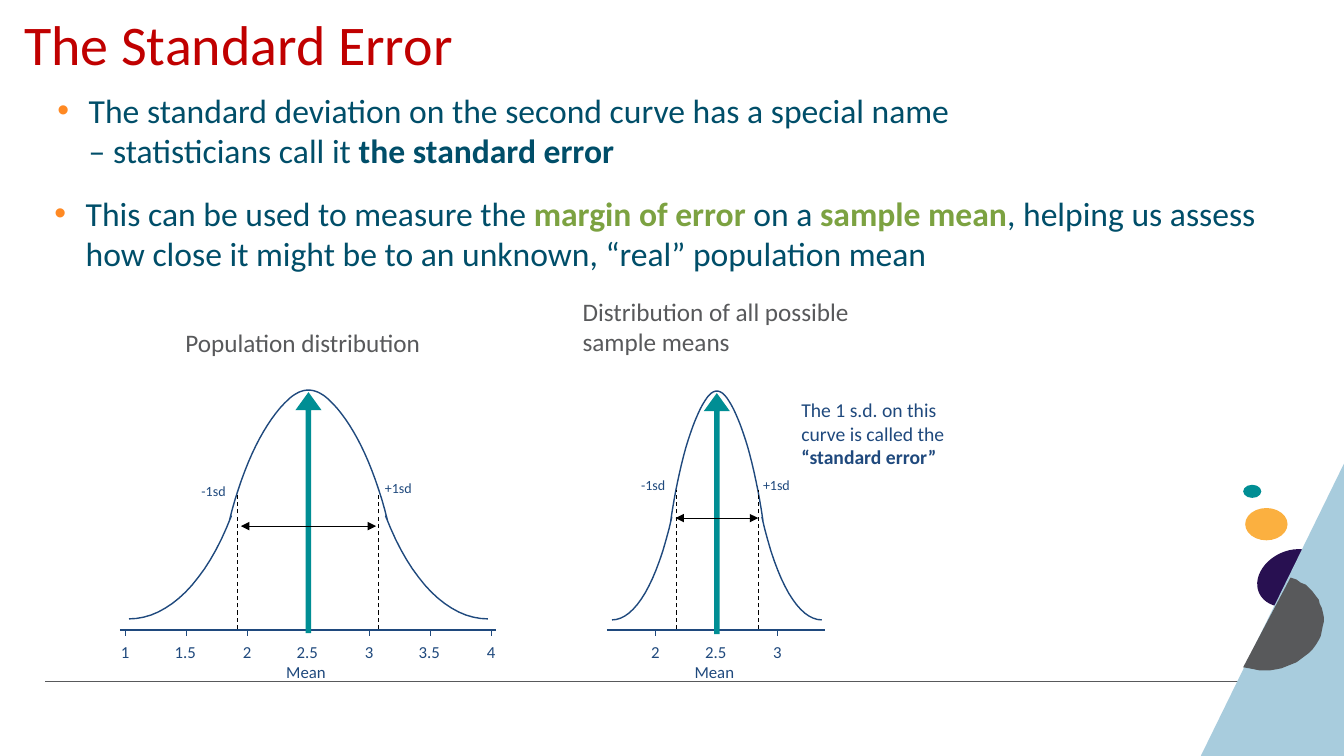
from lxml import etree
from pptx import Presentation
from pptx.dml.color import RGBColor
from pptx.enum.dml import MSO_LINE
from pptx.enum.shapes import MSO_CONNECTOR, MSO_SHAPE
from pptx.enum.text import MSO_ANCHOR, MSO_AUTO_SIZE, PP_ALIGN
from pptx.oxml.ns import qn
from pptx.util import Inches, Pt

STRAIGHT = MSO_CONNECTOR.STRAIGHT
ELLIPSE, TRIANGLE, UP_ARROW = MSO_SHAPE.OVAL, MSO_SHAPE.RIGHT_TRIANGLE, MSO_SHAPE.UP_ARROW
DASH = MSO_LINE.DASH
TOP, MIDDLE = MSO_ANCHOR.TOP, MSO_ANCHOR.MIDDLE
NO_FIT = MSO_AUTO_SIZE.NONE
LEFT = PP_ALIGN.LEFT

FONT = "Calibri"
RED, NAVY, BLUE, GREEN = "C00000", "004E69", "1F497D", "7CA241"
TEAL, GREY, ORANGE, BLACK = "008E94", "58595B", "FF8923", "000000"
TICK_GAP = 0.605
AXIS_Y = 6.25

HALF_BELL = [
    [(-1, 2.27), (-0.78, 2.27), (-0.57, 1.9), (-0.43, 1.25)],
    [(-0.44, 1.29), (-0.36, 0.72), (-0.24, 0.3), (-0.11, 0.09)],
    [(-0.11, 0.09), (-0.08, 0.04), (-0.04, 0), (0, 0)],
]
GREY_DISC = [
    (12.8, 5.73), (12.86, 5.75), (12.9, 5.78), (12.95, 5.8), (12.98, 5.83),
    (13.02, 5.87), (13.05, 5.91), (13.08, 5.95), (13.09, 5.99), (13.11, 6.03),
    (13.12, 6.07), (13.13, 6.12), (13.13, 6.17), (13.12, 6.21), (13.11, 6.26),
    (13.1, 6.31), (13.08, 6.35), (13.05, 6.4), (13.02, 6.44), (12.98, 6.48),
    (12.94, 6.51), (12.9, 6.54), (12.86, 6.57), (12.81, 6.59), (12.76, 6.61),
    (12.71, 6.63), (12.66, 6.64), (12.6, 6.65), (12.55, 6.65), (12.49, 6.65),
    (12.44, 6.64), (12.39, 6.63), (12.33, 6.62),
]


def rgb(color):
    return RGBColor.from_string(color)


def set_all(obj, values):
    for name, value in values.items():
        setattr(obj, name, value)


def add_run(p, text, size, color, bold=False):
    r = p.add_run()
    r.text = text
    set_all(r.font, {"name": FONT, "size": Pt(size), "bold": bold})
    r.font.color.rgb = rgb(color)


def place(sp, x, y, w, h):
    set_all(sp, {"left": Inches(x), "top": Inches(y),
                 "width": Inches(w), "height": Inches(h)})


def set_frame(tf, margin_x, margin_y, wrap=True, anchor=TOP):
    set_all(tf, {"margin_left": Inches(margin_x), "margin_right": Inches(margin_x),
                 "margin_top": Inches(margin_y), "margin_bottom": Inches(margin_y),
                 "word_wrap": wrap, "auto_size": NO_FIT, "vertical_anchor": anchor})


def add_label(s, box, runs, size, color=BLUE, wrap=False):
    sp = s.shapes.add_textbox(*map(Inches, box))
    set_frame(sp.text_frame, 0.1, 0.05, wrap)
    for text, bold in runs:
        add_run(sp.text_frame.paragraphs[0], text, size, color, bold)


def add_line(s, start, end, color, dash=None, arrows=False):
    line = s.shapes.add_connector(STRAIGHT, *map(Inches, start + end))
    line.line.color.rgb = rgb(color)
    line.line.width = Pt(0.75)
    if dash:
        line.line.dash_style = dash
    spPr = line._element.spPr
    if arrows:
        for tag in ("a:headEnd", "a:tailEnd"):
            etree.SubElement(spPr.find(qn("a:ln")), qn(tag), type="triangle")
    etree.SubElement(spPr, qn("a:effectLst"))


def add_filled(s, kind, box, color):
    sp = s.shapes.add_shape(kind, *map(Inches, box))
    sp.shadow.inherit = False
    sp.fill.solid()
    sp.fill.fore_color.rgb = rgb(color)
    sp.line.fill.background()
    return sp


def add_outline(s, points, close):
    builder = s.shapes.build_freeform(
        round(points[0][0] * 1000), round(points[0][1] * 1000), Inches(1) / 1000)
    builder.add_line_segments(
        [(round(x * 1000), round(y * 1000)) for x, y in points[1:]], close=close)
    sp = builder.convert_to_shape()
    sp.shadow.inherit = False
    return sp


def bezier(a, b, c, d, steps=16):
    for i in range(steps + 1):
        t = i / steps
        weights = ((1 - t) ** 3, 3 * t * (1 - t) ** 2, 3 * t * t * (1 - t), t ** 3)
        yield tuple(sum(w * pt[k] for w, pt in zip(weights, (a, b, c, d)))
                    for k in (0, 1))


def add_bell(s, center, top, half_width):
    half = [pt for segment in HALF_BELL for pt in bezier(*segment)]
    whole = half + [(-x, y) for x, y in reversed(half[:-1])]
    sp = add_outline(s, [(center + x * half_width, top + y) for x, y in whole], False)
    sp.fill.background()
    sp.line.color.rgb = rgb(BLUE)
    sp.line.width = Pt(1)


def add_distribution(s, center, top, half_width, axis, ticks, sd, sd_top, span, minus, plus):
    add_bell(s, center, top, half_width)
    add_line(s, (axis[0], AXIS_Y), (axis[1], AXIS_Y), BLUE)
    for tick in ticks:
        x = center + (tick - 2.5) / 0.5 * TICK_GAP
        if tick != 2.5:
            add_line(s, (x, AXIS_Y), (x, 6.31), BLUE)
        text = f"{tick:g}"
        w = 0.43 if "." in text else 0.29
        add_label(s, (x - w / 2, 6.32, w, 0.3), [(text, False)], 12)
    add_label(s, (center - 0.32, 6.52, 0.61, 0.3), [("Mean", False)], 12)
    arrow = add_filled(s, UP_ARROW, (center - 0.13, top + 0.02, 0.26, 2.39), TEAL)
    arrow.adjustments[0], arrow.adjustments[1] = 0.209, 0.692
    for x in sd:
        add_line(s, (x, 6.24), (x, sd_top), BLACK, dash=DASH)
    add_line(s, span[:2], span[2:], BLACK, arrows=True)
    add_label(s, minus + (0.47, 0.27), [("-1sd", False)], 10)
    add_label(s, plus + (0.5, 0.27), [("+1sd", False)], 10)


def add_title(s, text):
    sp = s.shapes.title
    place(sp, 0.24, 0.21, 12.62, 0.55)
    set_frame(sp.text_frame, 0, 0, anchor=MIDDLE)
    p = sp.text_frame.paragraphs[0]
    set_all(p, {"alignment": LEFT, "line_spacing": 0.8})
    add_run(p, text, 40, RED)


def fill_list(sp, box, paragraphs):
    place(sp, *box)
    tf = sp.text_frame
    set_frame(tf, 0, 0)
    for i, (bullet, runs) in enumerate(paragraphs):
        p = tf.add_paragraph() if i else tf.paragraphs[0]
        pPr = p._p.get_or_add_pPr()
        pPr.set("marL", str(Inches(0.31)))
        pPr.set("indent", str(Inches(-0.31 if bullet else 0)))
        if bullet:
            color = etree.SubElement(pPr, qn("a:buClr"))
            etree.SubElement(color, qn("a:srgbClr"), val=ORANGE)
            etree.SubElement(pPr, qn("a:buFont"), typeface="Arial")
            etree.SubElement(pPr, qn("a:buChar"), char="•")
        else:
            etree.SubElement(pPr, qn("a:buNone"))
        set_all(p, {"alignment": LEFT, "space_before": Pt(0)})
        for text, color, bold in runs:
            add_run(p, text, 24, color, bold)


def add_corner(s):
    add_line(s, (0.45, 6.76), (12.88, 6.76), GREY)
    add_filled(s, ELLIPSE, (12.54, 5.38, 0.54, 0.71), "281051").rotation = 65
    add_filled(s, ELLIPSE, (12.35, 5.04, 0.42, 0.32), "FBB040")
    add_filled(s, ELLIPSE, (12.33, 4.81, 0.18, 0.13), TEAL)
    triangle = add_filled(s, TRIANGLE, (11.91, 4.6, 1.42, 2.9), "A8CCDD")
    triangle._element.spPr.find(qn("a:xfrm")).set("flipH", "1")
    disc = add_outline(s, GREY_DISC, True)
    disc.fill.solid()
    disc.fill.fore_color.rgb = rgb(GREY)
    disc.line.fill.background()


def main():
    prs = Presentation()
    set_all(prs, {"slide_width": Inches(13.33), "slide_height": Inches(7.5)})
    s = prs.slides.add_slide(prs.slide_layouts[3])
    add_corner(s)
    add_title(s, "The Standard Error")
    fill_list(s.placeholders[1], (0.57, 0.89, 12.52, 0.96), [
        (True, [("The standard deviation on the second curve has a special name", NAVY, False)]),
        (False, [("– statisticians call it ", NAVY, False), ("the standard error", NAVY, True)]),
    ])
    fill_list(s.placeholders[2], (0.54, 1.91, 12.18, 1.04), [
        (True, [("This can be used to measure the ", NAVY, False),
                ("margin of error ", GREEN, True), ("on a ", NAVY, False),
                ("sample mean", GREEN, True),
                (", helping us assess how close it might be to an unknown, "
                 "“real” population mean", NAVY, False)]),
    ])
    add_label(s, (1.74, 3.2, 2.66, 0.4), [("Population distribution", False)], 18, GREY)
    add_label(s, (5.68, 2.89, 2.84, 0.7),
              [("Distribution of all possible sample means", False)], 18, GREY, True)
    add_distribution(s, 3.06, 3.87, 1.78, (1.19, 4.92), (1, 1.5, 2, 2.5, 3, 3.5, 4),
                     (2.36, 3.75), 4.88, (2.39, 5.22, 3.73, 5.22), (1.9, 4.74), (3.72, 4.71))
    add_distribution(s, 7.11, 3.88, 1.04, (6.02, 8.18), (2, 2.5, 3),
                     (6.71, 7.52), 4.86, (6.7, 5.14, 7.52, 5.14), (6.26, 4.68), (7.47, 4.68))
    add_label(s, (7.85, 3.9, 1.86, 0.8),
              [("The 1 s.d. on this curve is called the", False),
               (" “standard error”", True)], 14, wrap=True)
    prs.save("out.pptx")


if __name__ == "__main__":
    main()
